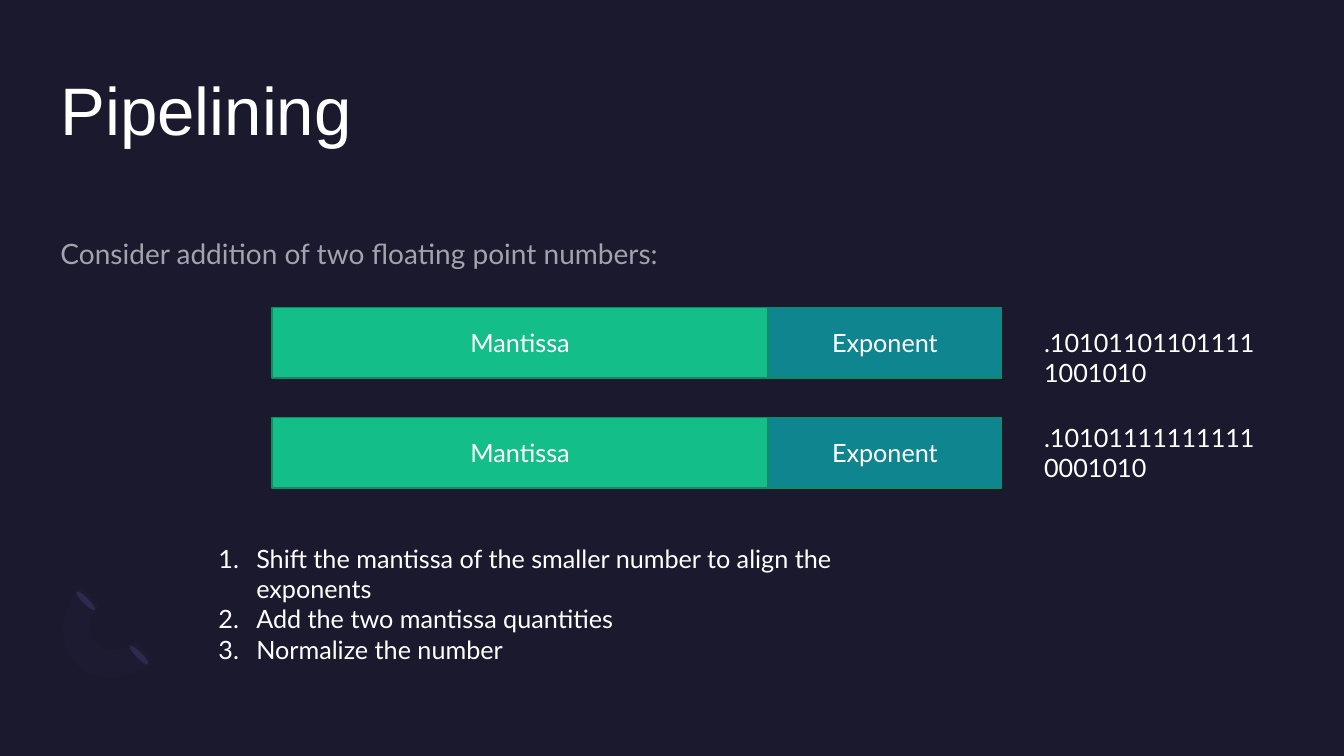
"""Builds the slide on pipelining a floating point addition."""
from dataclasses import dataclass

from lxml.etree import SubElement
from pptx import Presentation
from pptx.dml.color import RGBColor
from pptx.enum.shapes import MSO_SHAPE
from pptx.enum.text import MSO_ANCHOR, MSO_AUTO_SIZE, PP_ALIGN
from pptx.oxml.ns import qn
from pptx.util import Pt


@dataclass(frozen=True)
class Theme:
    """Colours, fonts and type sizes of the slide."""
    background: str = "1B192E"
    text: str = "FFFFFF"
    mantissa: str = "13BE89"
    exponent: str = "0E858F"
    outline: str = "0E8D65"
    cap: str = "2C284A"
    arc: str = "7771B2"
    heading_font: str = "Arial"
    body_font: str = "Lato"
    title_size: int = 48
    lead_size: int = 20
    base_size: int = 18


THEME = Theme()


def paint(fill, color, opacity=100):
    """Give a fill a solid colour, see-through below 100 percent."""
    fill.solid()
    fill.fore_color.rgb = RGBColor.from_string(color)
    if opacity < 100:
        solid = fill.fore_color._xFill
        SubElement(solid[0], qn("a:alpha"), val=str(opacity * 1000))


def write(frame, lines, size=THEME.base_size, font=THEME.body_font, opacity=100,
          align=PP_ALIGN.LEFT, anchor=MSO_ANCHOR.TOP, spacing=None, before=0,
          after=0, margin=None, bullet="buNone", indent=0):
    """Fill a text frame with one paragraph per line in the given format."""
    frame.word_wrap = True
    frame.auto_size = MSO_AUTO_SIZE.NONE
    frame.vertical_anchor = anchor
    if margin is not None:
        frame.margin_left = frame.margin_right = Pt(margin)
        frame.margin_top = frame.margin_bottom = Pt(margin)
    for index, line in enumerate(lines):
        paragraph = frame.add_paragraph() if index else frame.paragraphs[0]
        paragraph.alignment = align
        paragraph.line_spacing = spacing
        paragraph.space_before, paragraph.space_after = Pt(before), Pt(after)
        properties = paragraph._p.get_or_add_pPr()
        properties.set("marL", str(Pt(indent)))
        properties.set("indent", str(-Pt(indent)))
        mark = SubElement(properties, qn(f"a:{bullet}"))
        if bullet == "buAutoNum":
            mark.set("type", "arabicPeriod")
        run = paragraph.add_run()
        run.text = line
        run.font.name, run.font.size = font, Pt(size)
        paint(run.font.fill, THEME.text, opacity)


def bezier(start, first, second, end, steps=12):
    """Return points along a cubic curve, without its start."""
    points = []
    for step in range(1, steps + 1):
        t = step / steps
        weights = ((1 - t) ** 3, 3 * t * (1 - t) ** 2, 3 * t * t * (1 - t), t ** 3)
        corners = (start, first, second, end)
        points.append(tuple(sum(w * corner[axis] for w, corner in zip(weights, corners))
                            for axis in (0, 1)))
    return points


class SlideBuilder:
    """Holds the theme and the current slide."""

    def __init__(self, deck, theme):
        """Add a slide with a title and a body to the deck."""
        self.theme = theme
        self.slide = deck.slides.add_slide(deck.slide_layouts[1])
        paint(self.slide.background.fill, theme.background)

    def placeholder(self, index, box, line, **style):
        """Move a placeholder and write its text."""
        holder = self.slide.placeholders[index]
        holder.left, holder.top, holder.width, holder.height = map(Pt, box)
        write(holder.text_frame, [line], margin=0, **style)

    def shape(self, kind, box, color, outline=None):
        """Add a filled preset shape."""
        shape = self.slide.shapes.add_shape(kind, *map(Pt, box))
        return self.finish(shape, color, outline)

    def finish(self, shape, color, outline=None, opacity=100):
        """Set the fill and line of a shape and drop its shadow."""
        shape.shadow.inherit = False
        paint(shape.fill, color, opacity)
        if outline:
            paint(shape.line.fill, outline)
            shape.line.width = Pt(1)
        else:
            shape.line.fill.background()
        return shape

    def field(self, box, color, label):
        """Add a labelled part of a floating point number."""
        field = self.shape(MSO_SHAPE.RECTANGLE, box, color, self.theme.outline)
        write(field.text_frame, [label], align=PP_ALIGN.CENTER, anchor=MSO_ANCHOR.MIDDLE)

    def text(self, box, lines, **style):
        """Add a text box."""
        write(self.slide.shapes.add_textbox(*map(Pt, box)).text_frame, lines, **style)

    def cap(self, left, top):
        """Add a tilted end of the corner ornament."""
        self.shape(MSO_SHAPE.OVAL, (left, top, 4.3, 18.7), self.theme.cap).rotation = 135

    def arc(self, points, opacity):
        """Add a closed outline through the points."""
        outline = self.slide.shapes.build_freeform(*points[0], scale=Pt(1))
        outline.add_line_segments(points[1:], close=True)
        self.finish(outline.convert_to_shape(), self.theme.arc, opacity=opacity)


def main():
    """Build and save the slide."""
    deck = Presentation()
    deck.slide_width, deck.slide_height = Pt(960), Pt(540)
    page = SlideBuilder(deck, THEME)

    page.cap(97.2, 458.6)
    page.cap(59, 419.8)
    outer = bezier((54.7, 474.5), (40.3, 460.1), (41.8, 435.6), (58.3, 419))
    inner = (bezier((71.3, 432), (62.6, 439.9), (61.9, 452.9), (69.1, 459.4))
             + bezier((69.1, 459.4), (76.3, 466.6), (88.6, 465.8), (97.2, 457.9)))
    closing = bezier((109.4, 470.9), (93.6, 486.7), (68.4, 488.9), (54.7, 474.5))
    page.arc(outer + [(71.3, 432)] + inner + [(109.4, 470.9)] + closing, opacity=3)

    page.placeholder(0, (43.2, 43.2, 873.4, 105.1), "Pipelining", size=THEME.title_size,
                     font=THEME.heading_font, spacing=1.1)
    page.placeholder(1, (43.2, 166.3, 873.4, 313.2),
                     "Consider addition of two floating point numbers:",
                     size=THEME.lead_size, opacity=60, spacing=1.1, before=10, after=8)

    left, mantissa_width, exponent_width, height = 194.4, 354.2, 167, 50.4
    for top, digits_top, digits in ((219.6, 230.4, ".10101101101111 1001010"),
                                    (298.1, 298.1, ".10101111111111 0001010")):
        page.field((left, top, mantissa_width, height), THEME.mantissa, "Mantissa")
        page.field((left + mantissa_width, top, exponent_width, height),
                   THEME.exponent, "Exponent")
        page.text((738.7, digits_top, 213.8, 28.8), [digits])

    steps = ["Shift the mantissa of the smaller number to align the exponents",
             "Add the two mantissa quantities",
             "Normalize the number"]
    page.text((149, 384.5, 522.7, 72.7), steps, bullet="buAutoNum", indent=27)

    deck.save("out.pptx")


main()
